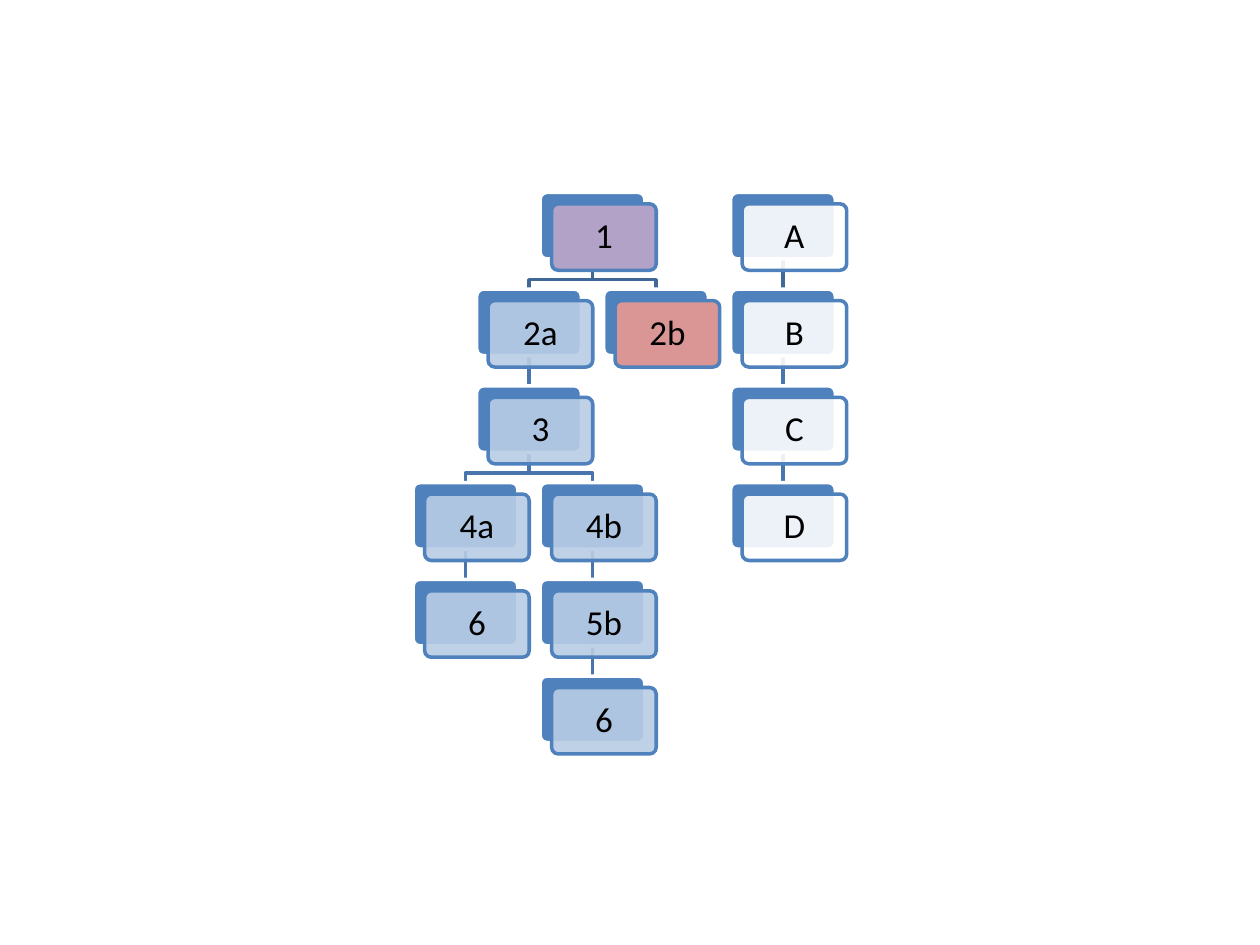
from dataclasses import dataclass

from lxml import etree
from pptx import Presentation
from pptx import util as u
from pptx.dml.color import RGBColor
from pptx.enum import shapes, text
from pptx.oxml.ns import qn


@dataclass(frozen=True)
class Theme:
    """Colours and type sizes of the slide."""
    accent: str = "4F81BD"
    white: str = "FFFFFF"
    black: str = "000000"
    blue: str = "B9CDE5"
    purple: str = "B3A2C7"
    red: str = "D99694"
    top_link: str = "3F6797"
    link: str = "4875AC"
    font: str = "Calibri"
    size: int = 20
    line: int = 2
    opacity: int = 90


THEME = Theme()

# Grid in centimetres; a column step is half the distance between siblings.
LEFT, TOP = 8.33, 3.88
COLUMN_STEP, ROW_STEP = 1.28, 1.95
CARD_WIDTH, CARD_HEIGHT = 2.11, 1.34
OFFSET, MARGIN, BEND = 0.23, 0.24, 0.42

# key: (label, column, row, fill, opacity, parent key)
NODES = {
    "1": ("1", 2, 0, THEME.purple, 100, None),
    "2a": ("2a", 1, 1, THEME.blue, THEME.opacity, "1"),
    "3": ("3", 1, 2, THEME.blue, THEME.opacity, "2a"),
    "4a": ("4a", 0, 3, THEME.blue, THEME.opacity, "3"),
    "6 left": ("6", 0, 4, THEME.blue, THEME.opacity, "4a"),
    "4b": ("4b", 2, 3, THEME.blue, THEME.opacity, "3"),
    "5b": ("5b", 2, 4, THEME.blue, THEME.opacity, "4b"),
    "6 right": ("6", 2, 5, THEME.blue, THEME.opacity, "5b"),
    "2b": ("2b", 3, 1, THEME.red, 100, "1"),
    "A": ("A", 5, 0, THEME.white, THEME.opacity, None),
    "B": ("B", 5, 1, THEME.white, THEME.opacity, "A"),
    "C": ("C", 5, 2, THEME.white, THEME.opacity, "B"),
    "D": ("D", 5, 3, THEME.white, THEME.opacity, "C"),
}


def position(column, row):
    """Return the left and top of a grid cell in centimetres."""
    return LEFT + column * COLUMN_STEP, TOP + row * ROW_STEP


def set_line(line, color):
    """Give a line its colour and the common width."""
    line.color.rgb = RGBColor.from_string(color)
    line.width = u.Pt(THEME.line)


def add_link(group, parent, child):
    """Link a parent to its child, with a bend where their columns differ."""
    parent_left, parent_top = position(*parent[1:3])
    child_left, end_y = position(*child[1:3])
    start_x, end_x = (left + CARD_WIDTH / 2 for left in (parent_left, child_left))
    start_y = parent_top + CARD_HEIGHT
    color = THEME.top_link if parent[2] == 0 else THEME.link
    if parent[1] == child[1]:
        link = group.shapes.add_connector(
            shapes.MSO_CONNECTOR.STRAIGHT,
            u.Cm(start_x), u.Cm(start_y), u.Cm(end_x), u.Cm(end_y))
        set_line(link.line, color)
        etree.SubElement(link.line._get_or_add_ln().getparent(), qn("a:effectLst"))
        return
    bend_y = start_y + BEND
    builder = group.shapes.build_freeform(u.Cm(start_x), u.Cm(start_y))
    corners = [(start_x, bend_y), (end_x, bend_y), (end_x, end_y)]
    builder.add_line_segments([(u.Cm(x), u.Cm(y)) for x, y in corners], close=False)
    link = builder.convert_to_shape()
    link.shadow.inherit = False
    link.fill.background()
    set_line(link.line, color)


def add_panel(group, left, top, fill, line, opacity=100):
    """Add one rounded rectangle and return it."""
    panel = group.shapes.add_shape(
        shapes.MSO_SHAPE.ROUNDED_RECTANGLE,
        u.Cm(left), u.Cm(top), u.Cm(CARD_WIDTH), u.Cm(CARD_HEIGHT))
    panel.adjustments[0] = 0.1
    panel.shadow.inherit = False
    panel.fill.solid()
    panel.fill.fore_color.rgb = RGBColor.from_string(fill)
    set_line(panel.line, line)
    if opacity < 100:
        color = panel.fill._xPr.find(qn("a:solidFill"))[0]
        etree.SubElement(color, qn("a:alpha"), val=str(opacity * 1000))
    return panel


def write_label(panel, label):
    """Write a centred label in a panel."""
    frame = panel.text_frame
    frame.word_wrap = True
    frame.vertical_anchor = text.MSO_ANCHOR.MIDDLE
    frame.margin_left = frame.margin_right = u.Cm(MARGIN)
    frame.margin_top = frame.margin_bottom = u.Cm(MARGIN)
    frame.text = label
    paragraph = frame.paragraphs[0]
    paragraph.alignment = text.PP_ALIGN.CENTER
    paragraph.line_spacing = 0.9
    paragraph.font.name = THEME.font
    paragraph.font.size = u.Pt(THEME.size)
    paragraph.font.color.rgb = RGBColor.from_string(THEME.black)


def add_card(group, node):
    """Add a node: a backing panel and a labelled front panel."""
    label, column, row, fill, opacity, _ = node
    left, top = position(column, row)
    add_panel(group, left, top, THEME.accent, THEME.white)
    front = add_panel(group, left + OFFSET, top + OFFSET, fill, THEME.accent, opacity)
    write_label(front, label)


def main():
    """Build the hierarchy slide and save it."""
    presentation = Presentation()
    presentation.slide_width = u.Cm(25.4)
    presentation.slide_height = u.Cm(19.05)
    slide = presentation.slides.add_slide(presentation.slide_layouts[6])
    hierarchy = slide.shapes.add_group_shape()
    for node in NODES.values():
        if node[-1]:
            add_link(hierarchy, NODES[node[-1]], node)
    for node in NODES.values():
        add_card(hierarchy, node)
    presentation.save("out.pptx")


if __name__ == "__main__":
    main()
